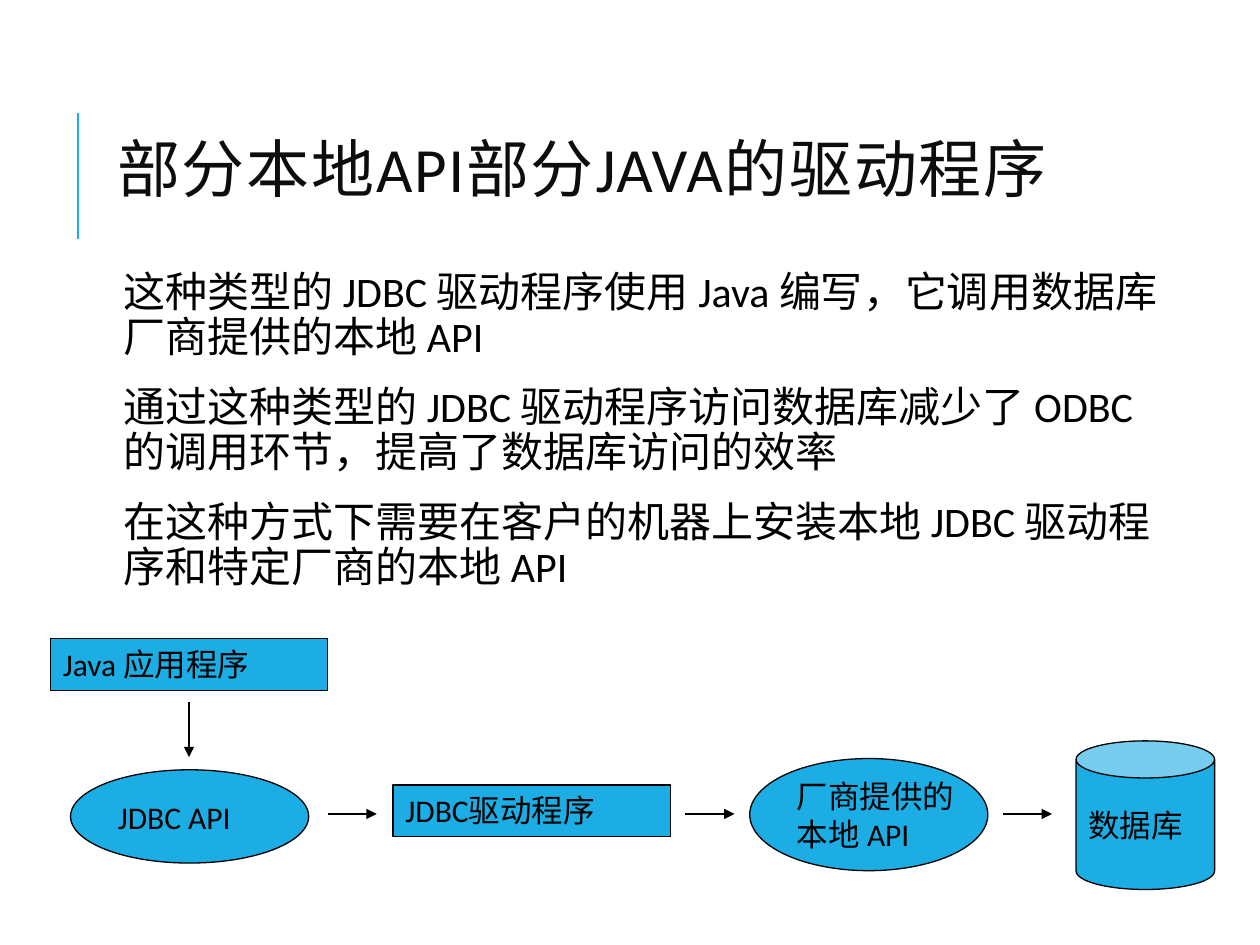
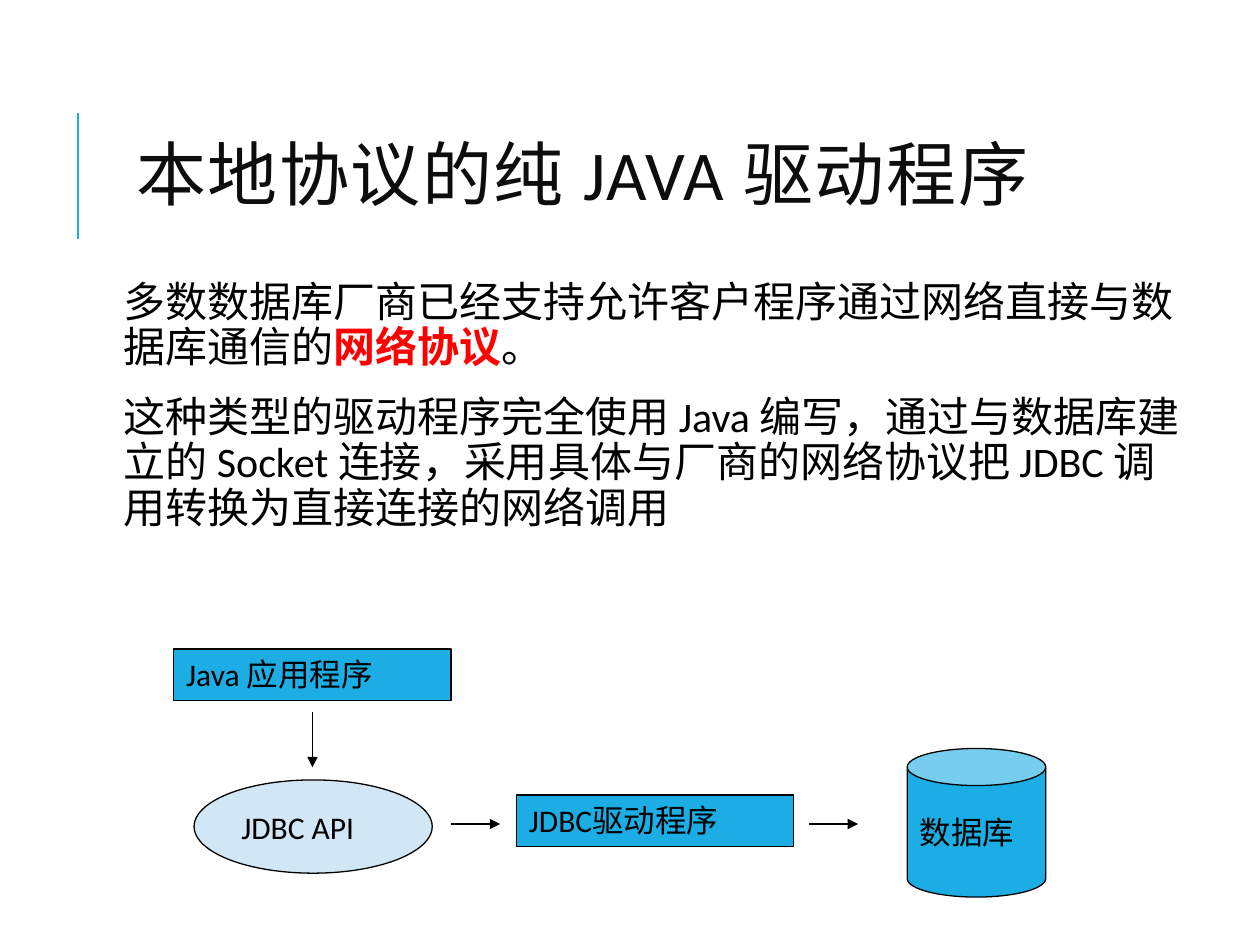
"""Build two slides on JDBC driver types, each with a title, body text and a flow diagram."""
import pptx
import pptx.util
import pptx.dml.color
import pptx.enum.shapes
import pptx.enum.text
import pptx.oxml.ns
import lxml.etree

Inches, Pt = pptx.util.Inches, pptx.util.Pt
SHAPES = pptx.enum.shapes.MSO_SHAPE
ANCHOR = pptx.enum.text.MSO_ANCHOR
LEFT = pptx.enum.text.PP_ALIGN.LEFT
NO_FIT = pptx.enum.text.MSO_AUTO_SIZE.NONE
COLORS = {name: pptx.dml.color.RGBColor.from_string(value) for name, value in {
    "accent": "1CADE4", "pale": "D1E7F6", "title": "0D0D0D",
    "text": "000000", "emphasis": "FF0000"}.items()}

BODY_FORMAT = {"line_spacing": 0.9, "space_after": Pt(2), "alignment": LEFT}
BODY_FRAME = {"word_wrap": True, "margin_left": Inches(0.05), "margin_right": Inches(0.05),
              "margin_top": Inches(0.05), "margin_bottom": Inches(0.05)}

application = (SHAPES.RECTANGLE, (0, 0, 2.2, 0.41), "accent", ["Java 应用程序"])
driver = (SHAPES.RECTANGLE, (2.72, 1.16, 2.2, 0.41), "accent", ["JDBC驱动程序"])
vendor = (SHAPES.OVAL, (5.55, 0.95, 1.89, 0.89), "accent", ["厂商提供的", "本地 API"])
api_box = (0.16, 1.04, 1.89, 0.74)

slides = [
    {"title": "部分本地API部分JAVA的驱动程序", "title_size": 36,
     "title_box": (0.83, 0.6, 8.42, 1.57), "body_box": (0.83, 2.1, 8.42, 2.72),
     "body": [
         [("这种类型的 JDBC 驱动程序使用 Java 编写，它调用数据库厂商提供的本地 API", "text")],
         [("通过这种类型的 JDBC 驱动程序访问数据库减少了 ODBC 的调用环节，提高了数据库访问的效率", "text")],
         [("在这种方式下需要在客户的机器上安装本地 JDBC 驱动程序和特定厂商的本地 API", "text")]],
     "origin": (0.4, 5.07), "arrow_starts": [2.2, 5.04, 7.56],
     "nodes": [application, (SHAPES.OVAL, api_box, "accent", ["JDBC API"]), driver, vendor,
               (SHAPES.CAN, (8.14, 0.81, 1.1, 1.18), "accent", ["数据库"])]},
    {"title": "本地协议的纯 JAVA 驱动程序", "title_size": 40,
     "title_box": (0.98, 0.76, 9, 1.34), "body_box": (0.83, 2.18, 8.63, 2.31),
     "body": [
         [("多数数据库厂商已经支持允许客户程序通过网络直接与数据库通信的", "text"),
          ("网络协议", "emphasis"), ("。", "text")],
         [("这种类型的驱动程序完全使用 Java 编写，通过与数据库建立的 Socket 连接，"
           "采用具体与厂商的网络协议把 JDBC 调用转换为直接连接的网络调用", "text")]],
     "origin": (1.38, 5.15), "arrow_starts": [2.2, 5.04],
     "nodes": [application, (SHAPES.OVAL, api_box, "pale", ["JDBC API"]), driver,
               (SHAPES.CAN, (5.82, 0.79, 1.1, 1.18), "accent", ["数据库"])]},
]


def add_run(paragraph, text, size, color):
    run = paragraph.add_run()
    run.text = text
    for name, value in {"name": "Calibri", "size": Pt(size), "bold": color == "emphasis"}.items():
        setattr(run.font, name, value)
    run.font.color.rgb = COLORS[color]
    return run


def add_line(slide, start, end, color, width, arrow=False):
    connector = slide.shapes.add_connector(
        pptx.enum.shapes.MSO_CONNECTOR.STRAIGHT, *map(Inches, (*start, *end)))
    connector.line.color.rgb = COLORS[color]
    connector.line.width = Pt(width)
    if arrow:
        line = connector.line._get_or_add_ln()
        lxml.etree.SubElement(line, pptx.oxml.ns.qn("a:tailEnd"), type="triangle")
    lxml.etree.SubElement(connector._element.spPr, pptx.oxml.ns.qn("a:effectLst"))


presentation = pptx.Presentation()
presentation.slide_width, presentation.slide_height = Inches(10), Inches(7.5)

for content in slides:
    slide = presentation.slides.add_slide(presentation.slide_layouts[5])
    add_line(slide, (0.62, 1.9), (0.62, 0.9), "accent", 1.5)

    title = slide.shapes.title
    for name, value in zip(("left", "top", "width", "height"), content["title_box"]):
        setattr(title, name, Inches(value))
    title.text_frame.auto_size = NO_FIT
    title.text_frame.vertical_anchor = ANCHOR.MIDDLE
    paragraph = title.text_frame.paragraphs[0]
    paragraph.alignment, paragraph.line_spacing = LEFT, 0.8
    run = add_run(paragraph, content["title"], content["title_size"], "title")
    run.font._element.set("spc", "100")

    frame = slide.shapes.add_textbox(*map(Inches, content["body_box"])).text_frame
    for name, value in BODY_FRAME.items():
        setattr(frame, name, value)
    for index, runs in enumerate(content["body"]):
        paragraph = frame.add_paragraph() if index else frame.paragraphs[0]
        for name, value in BODY_FORMAT.items():
            setattr(paragraph, name, value)
        paragraph.space_before = Pt(12 if index else 0)
        paragraph._p.get_or_add_pPr().set("marL", str(Inches(0.1)))
        for text, color in runs:
            add_run(paragraph, text, 24, color)

    origin_x, origin_y = content["origin"]
    for kind, (left, top, width, height), fill, lines in content["nodes"]:
        shape = slide.shapes.add_shape(
            kind, *map(Inches, (origin_x + left, origin_y + top, width, height)))
        shape.shadow.inherit = False
        shape.fill.solid()
        shape.fill.fore_color.rgb = COLORS[fill]
        shape.line.color.rgb = COLORS["text"]
        shape.line.width = Pt(0.75)
        if kind == SHAPES.CAN:
            shape.adjustments[0] = 0.268
        is_box = kind == SHAPES.RECTANGLE
        shape.text_frame.word_wrap = is_box
        shape.text_frame.vertical_anchor = ANCHOR.TOP if is_box else ANCHOR.MIDDLE
        for index, text in enumerate(lines):
            paragraph = shape.text_frame.add_paragraph() if index else shape.text_frame.paragraphs[0]
            paragraph.alignment = LEFT
            properties = paragraph._p.get_or_add_pPr()
            properties.set("marL", str(Inches(0.38)))
            properties.set("indent", str(-Inches(0.38)))
            add_run(paragraph, text, 18, "text")

    arrows = [((1.1, 0.5), (1.1, 0.94))]
    arrows += [((x, 1.39), (x + 0.39, 1.39)) for x in content["arrow_starts"]]
    for ends in arrows:
        start, end = [(origin_x + x, origin_y + y) for x, y in ends]
        add_line(slide, start, end, "text", 0.75, arrow=True)

presentation.save("out.pptx")
